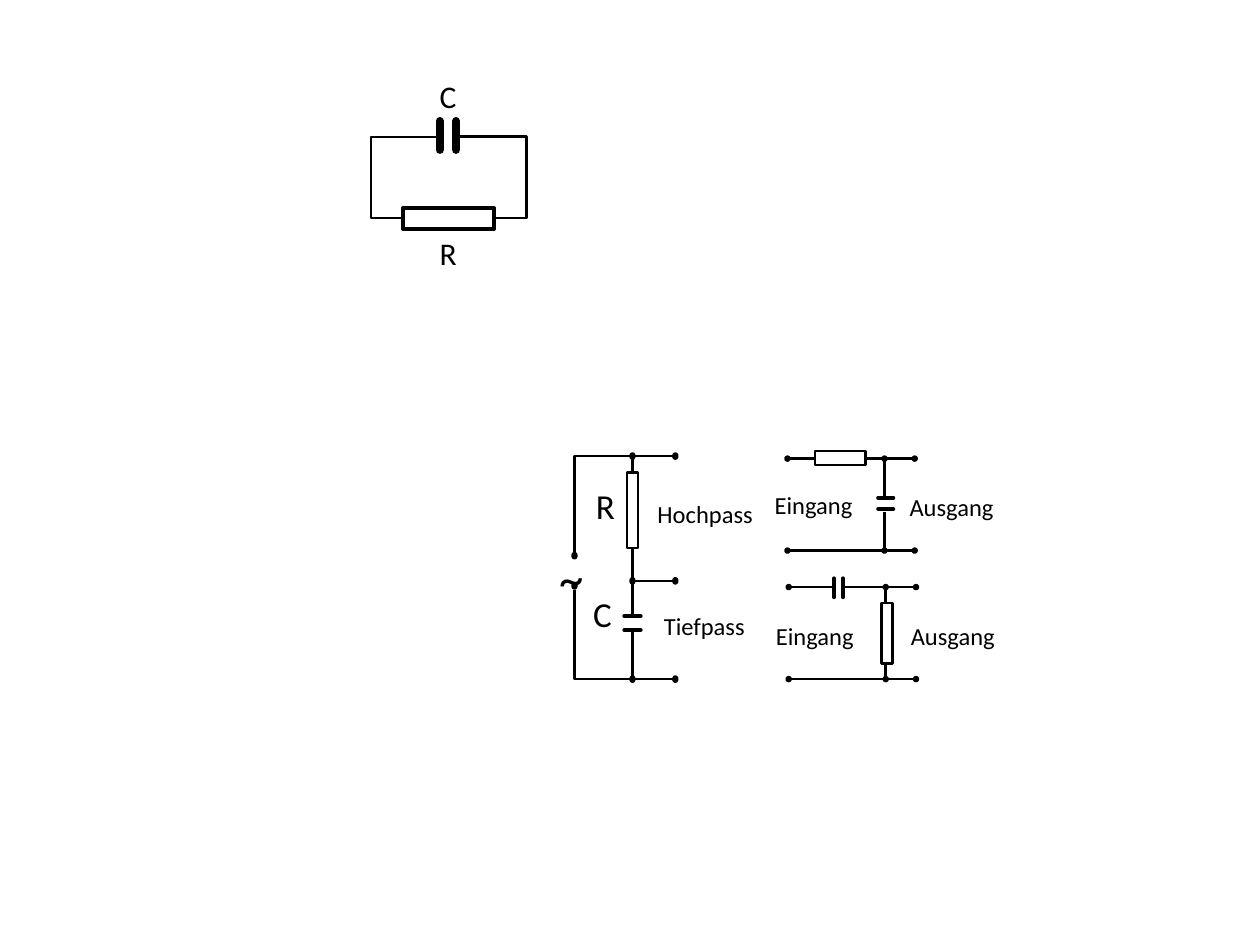
from lxml import etree
from pptx import Presentation
from pptx import util as u
from pptx.dml.color import RGBColor
from pptx.enum import shapes, text
from pptx.oxml import ns

BLACK = RGBColor(0x00, 0x00, 0x00)
WHITE = RGBColor(0xFF, 0xFF, 0xFF)
FONT = "Calibri"


def add_label(group, content, left, top, width, height, size=14):
    """Add one unwrapped line of text."""
    box = group.shapes.add_textbox(*map(u.Inches, (left, top, width, height)))
    frame = box.text_frame
    frame.word_wrap = False
    frame.auto_size = text.MSO_AUTO_SIZE.SHAPE_TO_FIT_TEXT
    span = frame.paragraphs[0].add_run()
    span.text = content
    span.font.name = FONT
    span.font.size = u.Pt(size)
    span.font.color.rgb = BLACK


def add_solid(group, preset, center, size, fill, weight=1.5, rotation=0):
    """Add an outlined preset shape around its centre."""
    (x, y), (width, height) = center, size
    frame = (x - width / 2, y - height / 2, width, height)
    shape = group.shapes.add_shape(preset, *map(u.Inches, frame))
    shape.shadow.inherit = False
    shape.rotation = rotation
    shape.fill.solid()
    shape.fill.fore_color.rgb = fill
    shape.line.color.rgb = BLACK
    shape.line.width = u.Pt(weight)


def add_dot(group, x, y, height=0.03):
    """Add a terminal or junction dot."""
    add_solid(group, shapes.MSO_SHAPE.OVAL, (x, y), (0.03, height), BLACK)


def add_resistor(group, center, size, **options):
    """Add a resistor body."""
    add_solid(group, shapes.MSO_SHAPE.RECTANGLE, center, size, WHITE, **options)


def add_wire(group, start, end, weight=1.5, kind=shapes.MSO_CONNECTOR.STRAIGHT):
    """Add a black connector without shadow."""
    wire = group.shapes.add_connector(kind, *map(u.Inches, (*start, *end)))
    wire.line.color.rgb = BLACK
    wire.line.width = u.Pt(weight)
    etree.SubElement(wire._element.spPr, ns.qn("a:effectLst"))
    return wire


def add_elbow(group, start, end, preset, flips, rotation=0, adjust=()):
    """Add a bent wire between two points, turned and flipped as given."""
    middle = [(a + b) / 2 for a, b in zip(start, end)]
    half = [abs(a - b) / 2 for a, b in zip(start, end)]
    if rotation % 180:
        half.reverse()
    signs = [-1 if flip in flips else 1 for flip in "hv"]
    first = [m - s * h for m, s, h in zip(middle, signs, half)]
    last = [m + s * h for m, s, h in zip(middle, signs, half)]
    wire = add_wire(group, first, last, kind=shapes.MSO_CONNECTOR.ELBOW)
    properties = wire._element.spPr
    properties.find(ns.qn("a:xfrm")).set("rot", str(rotation * 60000))
    geometry = properties.find(ns.qn("a:prstGeom"))
    geometry.set("prst", preset)
    guides = geometry.get_or_add_avLst()
    for number, value in enumerate(adjust, 1):
        guide = etree.SubElement(guides, ns.qn("a:gd"))
        guide.set("name", f"adj{number}")
        guide.set("fmla", f"val {round(value * 100000)}")


def add_capacitor(group, center, length, gap, upright, weight=2.25):
    """Add two parallel round-ended plates."""
    x, y = center
    for shift in (-gap / 2, gap / 2):
        if upright:
            ends = (x + shift, y - length / 2), (x + shift, y + length / 2)
        else:
            ends = (x - length / 2, y + shift), (x + length / 2, y + shift)
        plate = add_wire(group, *ends, weight=weight)
        plate._element.spPr.find(ns.qn("a:ln")).set("cap", "rnd")


def draw_loop(group):
    """Draw the closed loop of capacitor and resistor."""
    add_capacitor(group, (3.555, 1.075), 0.23, 0.13, True, weight=4.5)
    add_resistor(group, (3.56, 1.735), (0.72, 0.17), weight=2)
    add_elbow(group, (3.2, 1.73), (3.49, 1.08), "bentConnector4", "h",
              rotation=180, adjust=(-0.886, 0.988))
    add_elbow(group, (3.93, 1.73), (3.62, 1.08), "bentConnector4", "hv",
              adjust=(-0.809, 0.993))
    for name, top in (("C", 0.56), ("R", 1.81)):
        add_label(group, name, 3.39, top, 0.34, 0.4, size=18)


def draw_divider(group):
    """Draw the alternating source feeding R and C in series."""
    source, branch, tap = 4.56, 5.02, 5.36
    for y in (3.62, 4.61, 5.39):
        add_wire(group, (branch, y), (tap, y))
        for x in (branch, tap):
            add_dot(group, x, y, height=0.04)
    for y in (4.41, 4.65):
        add_dot(group, source, y, height=0.04)
    for top, bottom in ((3.64, 3.75), (4.35, 4.59), (4.63, 4.88), (5, 5.37)):
        add_wire(group, (branch, top), (branch, bottom))
    add_elbow(group, (source, 4.39), (5.01, 3.62), "bentConnector2", "hv", rotation=90)
    add_elbow(group, (source, 4.68), (5.01, 5.39), "bentConnector2", "h", rotation=270)
    add_resistor(group, (branch, 4.05), (0.6, 0.09), rotation=90)
    add_capacitor(group, (branch, 4.945), 0.13, 0.11, False)
    add_label(group, "Hochpass", 5.12, 3.91, 0.97, 0.34)
    add_label(group, "Tiefpass", 5.17, 4.8, 0.85, 0.34)
    add_label(group, "R", 4.63, 3.8, 0.35, 0.44, size=20)
    add_label(group, "C", 4.61, 4.65, 0.35, 0.44, size=20)
    add_label(group, "~", 4.34, 4.3, 0.4, 0.57, size=28)


def draw_filter(group, left, top, series, shunt, label_tops):
    """Draw a two-port frame with gaps for its series and shunt parts."""
    branch, right, bottom = left + 0.77, left + 1.01, top + 0.73
    for y in (top, bottom):
        for x in (left, branch, right):
            add_dot(group, x, y)
        add_wire(group, (branch, y), (right, y))
    add_wire(group, (left, bottom), (branch, bottom))
    add_wire(group, (left, top), (series[0], top))
    add_wire(group, (series[1], top), (branch, top))
    add_wire(group, (branch, top), (branch, shunt[0]))
    add_wire(group, (branch, shunt[1]), (branch, bottom))
    add_label(group, "Eingang", left - 0.2, label_tops[0], 0.83, 0.34)
    add_label(group, "Ausgang", left + 0.87, label_tops[1], 0.88, 0.34)


def main():
    """Build the slide with its four circuits."""
    deck = Presentation()
    deck.slide_width, deck.slide_height = u.Inches(10), u.Inches(7.5)
    page = deck.slides.add_slide(deck.slide_layouts[6])
    draw_loop(page.shapes.add_group_shape())
    filters = page.shapes.add_group_shape()
    draw_divider(filters)
    draw_filter(filters, 6.25, 3.64, (6.47, 6.87), (3.94, 4.06), (3.84, 3.86))
    add_resistor(filters, (6.67, 3.635), (0.4, 0.11))
    add_capacitor(filters, (7.03, 3.995), 0.12, 0.09, False)
    draw_filter(filters, 6.26, 4.66, (6.61, 6.71), (4.79, 5.27), (4.88, 4.88))
    add_capacitor(filters, (6.655, 4.665), 0.15, 0.07, True)
    add_resistor(filters, (7.04, 5.025), (0.48, 0.09), rotation=90)
    deck.save("out.pptx")


main()
